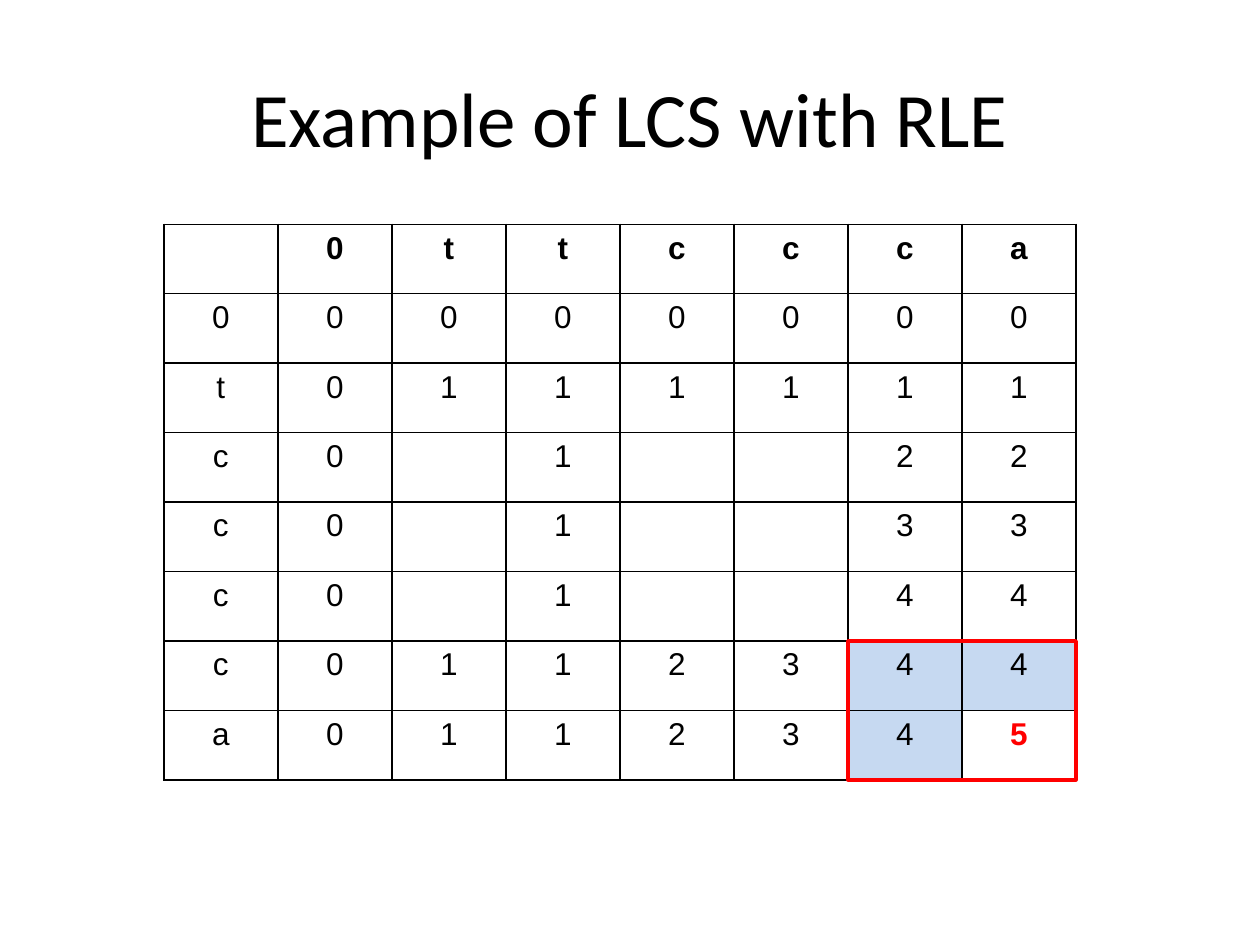
from dataclasses import dataclass

from lxml.etree import SubElement
from pptx import Presentation
from pptx.dml.color import RGBColor as RGB
from pptx.enum.shapes import MSO_SHAPE as Shape
from pptx.enum.text import MSO_ANCHOR as Anchor, PP_ALIGN as Align
from pptx.oxml.ns import qn
from pptx.util import Inches, Pt


@dataclass(frozen=True)
class Theme:
    ink: RGB = RGB(0, 0, 0)
    paper: RGB = RGB(255, 255, 255)
    accent: RGB = RGB(255, 0, 0)
    tint: RGB = RGB(0xC6, 0xD9, 0xF1)
    title_font: str = "Calibri"
    body_font: str = "Arial"
    title_size: Pt = Pt(44)
    body_size: Pt = Pt(18)
    grid_width: Pt = Pt(1)
    frame_width: Pt = Pt(2)


# One string per row, one character per cell; a dot is an empty cell.
LCS_ROWS = [
    ".0ttccca",
    "00000000",
    "t0111111",
    "c0.1..22",
    "c0.1..33",
    "c0.1..44",
    "c0112344",
    "a0112345",
]
COUNT = len(LCS_ROWS)
LAST = COUNT - 1
COMPARED_CELLS = {(LAST - 1, LAST - 1), (LAST - 1, LAST), (LAST, LAST - 1)}
TABLE_LEFT, TABLE_TOP = 1.3, 1.78
TABLE_WIDTH, TABLE_HEIGHT = 7.24, 4.41


class SlideBuilder:
    def __init__(self, slide, theme):
        self.slide = slide
        self.theme = theme

    def style_paragraph(self, paragraph, font_name, size, color, bold=False):
        paragraph.alignment = Align.CENTER
        font = paragraph.font
        font.name, font.size, font.bold = font_name, size, bold
        font.color.rgb = color

    def title(self, text, left, top, width, height):
        title = self.slide.shapes.title
        title.left, title.top = Inches(left), Inches(top)
        title.width, title.height = Inches(width), Inches(height)
        frame = title.text_frame
        frame.text = text
        frame.vertical_anchor = Anchor.MIDDLE
        theme = self.theme
        self.style_paragraph(frame.paragraphs[0], theme.title_font, theme.title_size, theme.ink)

    def cell_borders(self, cell):
        properties = cell._tc.get_or_add_tcPr()
        for side in ("a:lnL", "a:lnR", "a:lnT", "a:lnB"):
            line = SubElement(properties, qn(side), w=str(self.theme.grid_width))
            fill = SubElement(line, qn("a:solidFill"))
            SubElement(fill, qn("a:srgbClr"), val=str(self.theme.ink))

    def cell(self, cell, text, fill, color, bold):
        self.cell_borders(cell)
        cell.fill.solid()
        cell.fill.fore_color.rgb = fill
        cell.text = text
        theme = self.theme
        self.style_paragraph(
            cell.text_frame.paragraphs[0], theme.body_font, theme.body_size, color, bold
        )

    def lcs_table(self, rows, left, top, width, height):
        theme = self.theme
        table = self.slide.shapes.add_table(
            len(rows), len(rows[0]), Inches(left), Inches(top), Inches(width), Inches(height)
        ).table
        table.horz_banding = False
        for row_index, row in enumerate(rows):
            for column_index, character in enumerate(row):
                position = (row_index, column_index)
                is_result = position == (LAST, LAST)
                self.cell(
                    table.cell(*position),
                    "" if character == "." else character,
                    theme.tint if position in COMPARED_CELLS else theme.paper,
                    theme.accent if is_result else theme.ink,
                    bold=row_index == 0 or is_result,
                )

    def frame(self, left, top, width, height):
        shape = self.slide.shapes.add_shape(
            Shape.RECTANGLE, Inches(left), Inches(top), Inches(width), Inches(height)
        )
        shape.shadow.inherit = False
        shape.fill.background()
        shape.line.color.rgb = self.theme.accent
        shape.line.width = self.theme.frame_width


def main():
    presentation = Presentation()
    presentation.slide_width, presentation.slide_height = Inches(10), Inches(7.5)
    slide = presentation.slides.add_slide(presentation.slide_layouts[5])
    builder = SlideBuilder(slide, Theme())
    builder.title("Example of LCS with RLE", 0.5, 0.3, 9, 1.25)
    builder.lcs_table(LCS_ROWS, TABLE_LEFT, TABLE_TOP, TABLE_WIDTH, TABLE_HEIGHT)

    # The frame surrounds the last two rows and columns.
    frame_width, frame_height = 2 * TABLE_WIDTH / COUNT, 2 * TABLE_HEIGHT / COUNT
    builder.frame(
        TABLE_LEFT + TABLE_WIDTH - frame_width,
        TABLE_TOP + TABLE_HEIGHT - frame_height,
        frame_width,
        frame_height,
    )
    presentation.save("out.pptx")


if __name__ == "__main__":
    main()
